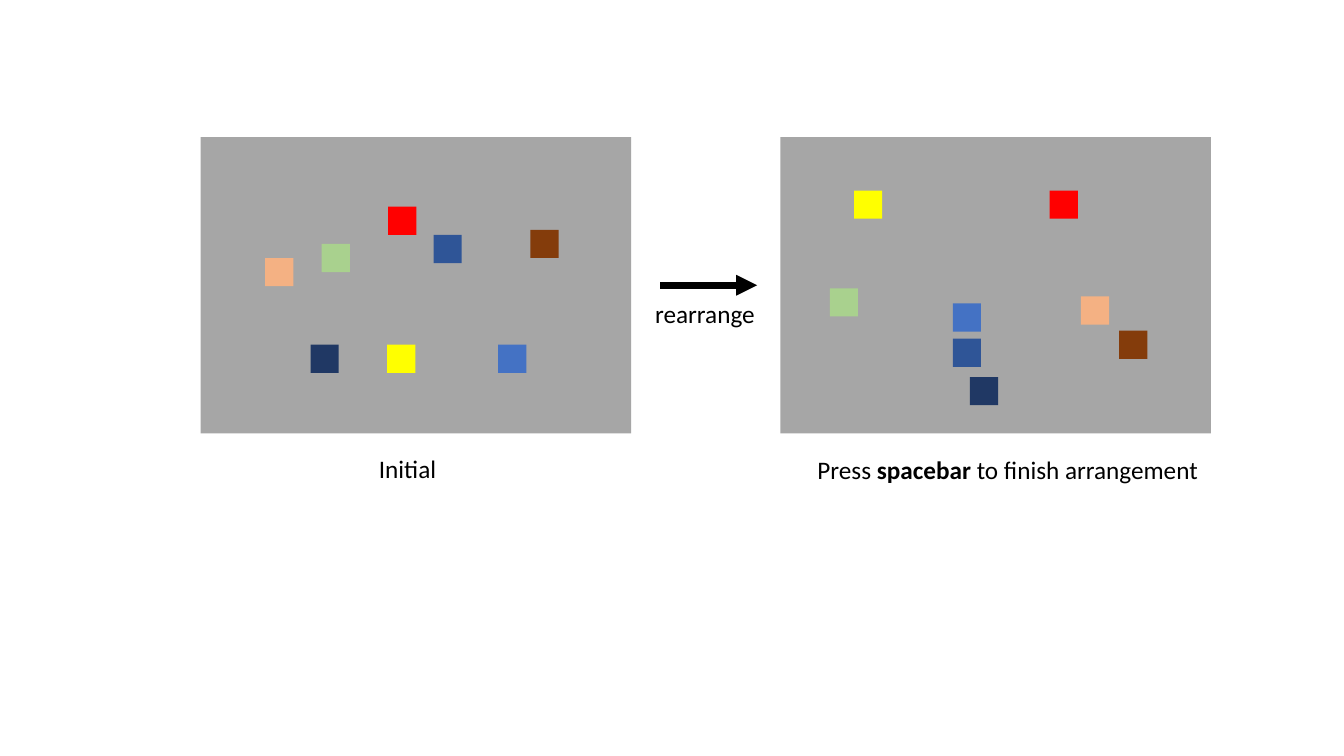
from lxml.etree import SubElement
from pptx import Presentation
from pptx.dml.color import RGBColor
from pptx.enum.shapes import MSO_CONNECTOR as Connector, MSO_SHAPE as Shape
from pptx.enum.text import MSO_AUTO_SIZE as AutoSize
from pptx.oxml.ns import qn
from pptx.util import Inches, Pt

COLORS = {
    "panel": "A6A6A6", "ink": "000000",
    "red": "FF0000", "yellow": "FFFF00", "green": "A9D18E",
    "blue": "4472C4", "dark blue": "2F5597", "navy": "203864",
    "peach": "F4B183", "brown": "843C0B",
}
PANEL_TOP, PANEL_WIDTH, PANEL_HEIGHT = 1.36, 4.27, 2.94
TILE = 0.28

# Left edge of each panel and the top left corner of each tile
PANELS = [
    (1.99, {
        "red": (3.85, 2.05), "yellow": (3.84, 3.42), "green": (3.19, 2.42),
        "blue": (4.94, 3.42), "dark blue": (4.3, 2.33), "navy": (3.08, 3.42),
        "peach": (2.63, 2.56), "brown": (5.26, 2.28),
    }),
    (7.74, {
        "red": (10.41, 1.89), "yellow": (8.47, 1.89), "green": (8.23, 2.86),
        "blue": (9.45, 3.01), "dark blue": (9.45, 3.36), "navy": (9.62, 3.74),
        "peach": (10.72, 2.94), "brown": (11.1, 3.28),
    }),
]


class SlideBuilder:
    def __init__(self, slide, font="Calibri", size=18):
        self.slide = slide
        self.font = font
        self.size = size

    def color(self, name):
        return RGBColor.from_string(COLORS[name])

    def rectangle(self, left, top, width, height, fill):
        shape = self.slide.shapes.add_shape(
            Shape.RECTANGLE, Inches(left), Inches(top), Inches(width), Inches(height))
        shape.shadow.inherit = False
        shape.fill.solid()
        shape.fill.fore_color.rgb = self.color(fill)
        shape.line.fill.background()

    def arrow(self, start_x, end_x, y, weight):
        connector = self.slide.shapes.add_connector(
            Connector.STRAIGHT, Inches(start_x), Inches(y), Inches(end_x), Inches(y))
        connector.line.color.rgb = self.color("ink")
        connector.line.width = Pt(weight)
        SubElement(connector.line._get_or_add_ln(), qn("a:tailEnd"), type="triangle")
        SubElement(connector._element.spPr, qn("a:effectLst"))

    def label(self, left, top, width, *parts, bold=None):
        box = self.slide.shapes.add_textbox(
            Inches(left), Inches(top), Inches(width), Inches(0.4))
        text_frame = box.text_frame
        text_frame.word_wrap = False
        text_frame.auto_size = AutoSize.SHAPE_TO_FIT_TEXT
        for part in parts:
            run = text_frame.paragraphs[0].add_run()
            run.text = part
            run.font.name = self.font
            run.font.size = Pt(self.size)
            run.font.bold = part == bold
            run.font.color.rgb = self.color("ink")


presentation = Presentation()
presentation.slide_width = Inches(13.33)
presentation.slide_height = Inches(7.5)
builder = SlideBuilder(presentation.slides.add_slide(presentation.slide_layouts[6]))

# Panels with their tiles
for panel_left, tiles in PANELS:
    builder.rectangle(panel_left, PANEL_TOP, PANEL_WIDTH, PANEL_HEIGHT, "panel")
    for tile_color, (left, top) in tiles.items():
        builder.rectangle(left, top, TILE, TILE, tile_color)

# Arrow between the panels
builder.arrow(6.55, 7.51, 2.83, weight=5)
builder.label(6.4, 2.91, 1.2, "rearrange")

# Captions
builder.label(8.01, 4.46, 4, "Press ", "spacebar", " to finish arrangement", bold="spacebar")
builder.label(3.66, 4.45, 0.78, "Initial")

presentation.save("out.pptx")
